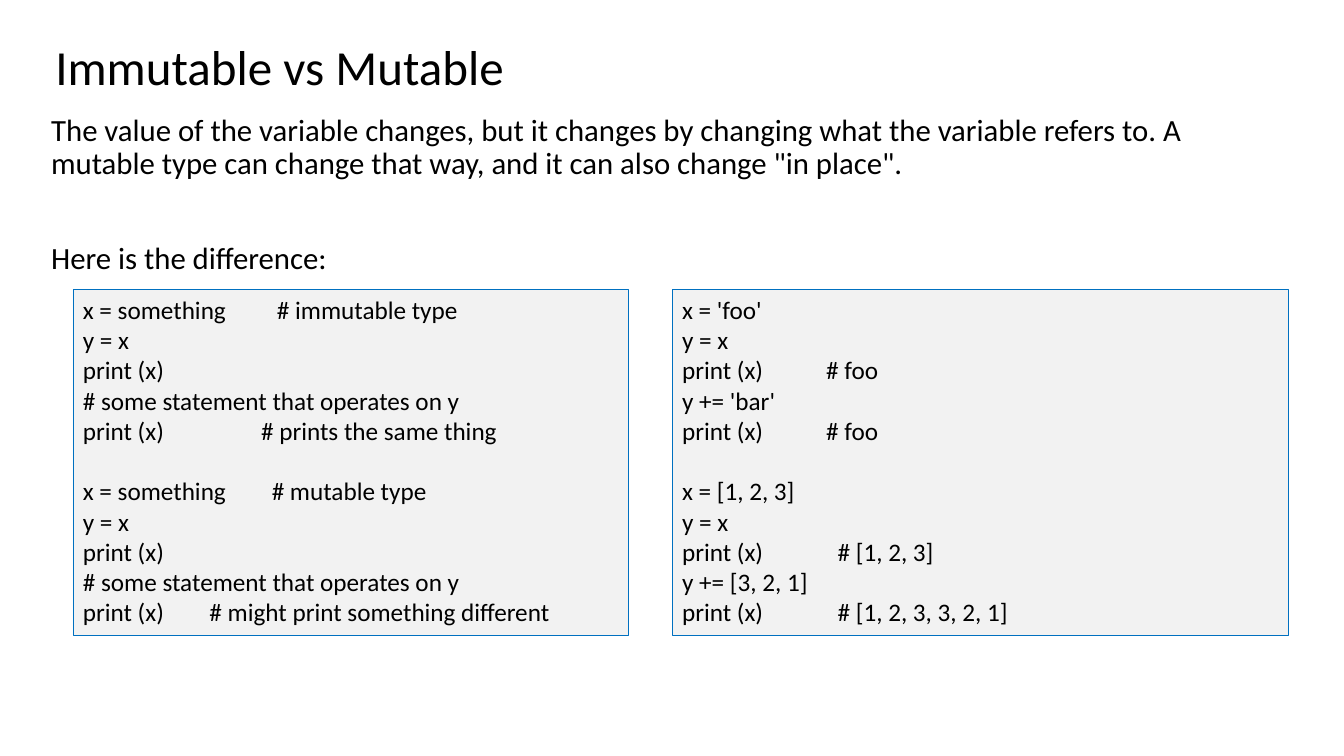
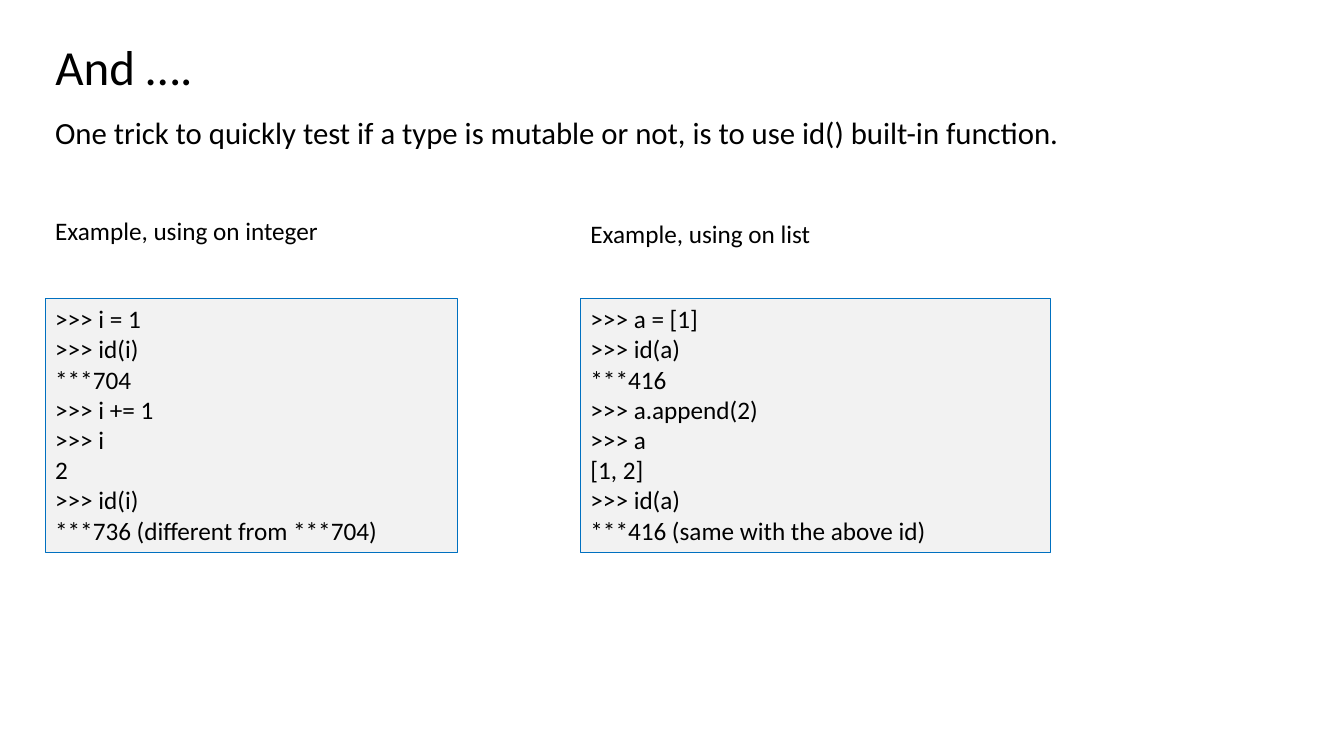
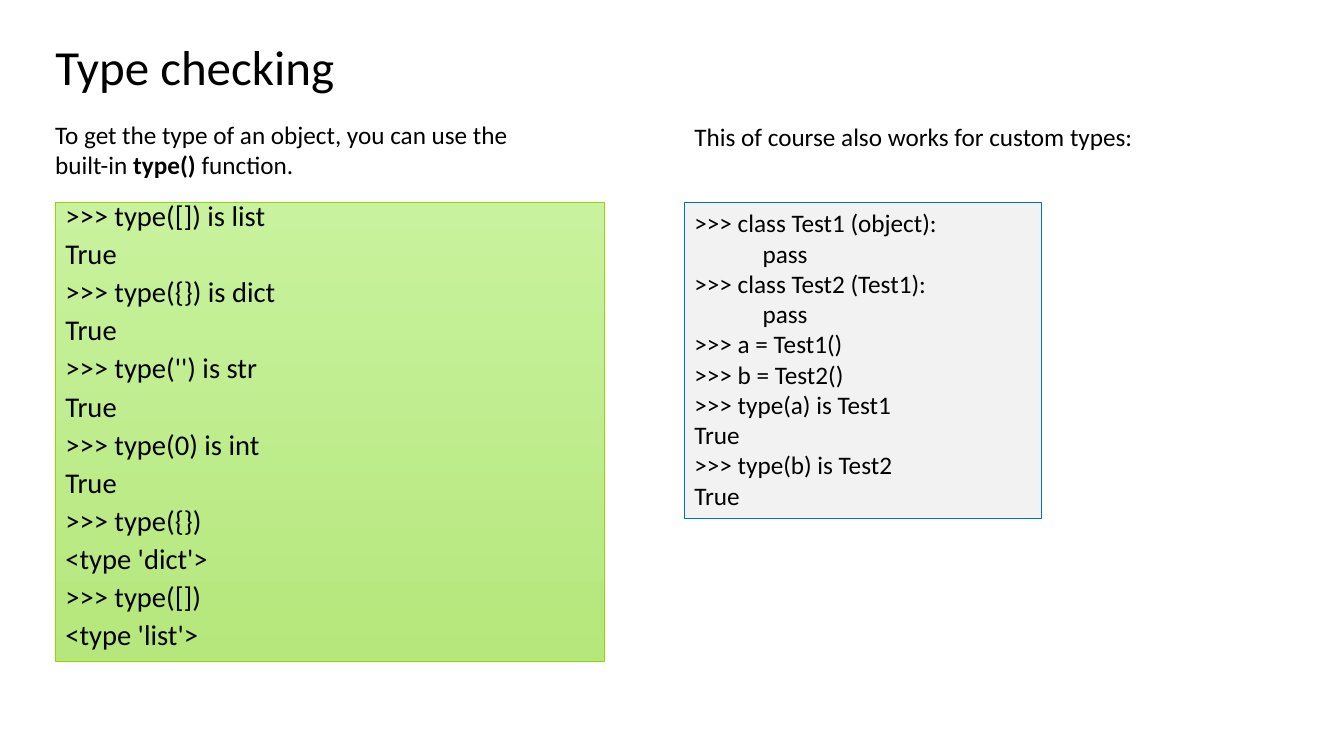
from dataclasses import dataclass

from lxml import etree
from pptx import Presentation
from pptx.dml.color import RGBColor
from pptx.enum.shapes import MSO_SHAPE
from pptx.enum.text import MSO_ANCHOR, MSO_AUTO_SIZE, PP_ALIGN
from pptx.oxml.ns import qn
from pptx.util import Cm, Pt

RECT = MSO_SHAPE.RECTANGLE
TOP = MSO_ANCHOR.TOP
LEFT = PP_ALIGN.LEFT
FIXED, GROW = MSO_AUTO_SIZE.NONE, MSO_AUTO_SIZE.SHAPE_TO_FIT_TEXT
TITLE_ONLY = 5


@dataclass(frozen=True)
class Theme:
    font: str = "Calibri"
    ink: str = "000000"
    panel: str = "F2F2F2"
    panel_line: str = "0070C0"
    green: tuple = ("C8F29D", "B5E77C")
    green_line: str = "95D600"
    line_width: float = 0.5
    title: float = 35
    body: float = 22
    session: float = 20.4
    code: float = 18
    code_gap: float = 21.6  # one code line


def rgb(value):
    return RGBColor.from_string(value)


class Deck:
    def __init__(self, theme):
        self.theme = theme
        self.prs = Presentation()
        self.prs.slide_width, self.prs.slide_height = Cm(33.87), Cm(19.05)
        self.slide = None

    # Text
    def frame(self, sp, auto_size):
        tf = sp.text_frame
        tf.word_wrap = True
        tf.auto_size = auto_size
        tf.vertical_anchor = TOP
        return tf

    def paragraph(self, tf, runs, size, first, spacing=1.0, before=0):
        """Add one paragraph; runs is a string or (text, bold) pairs."""
        p = tf.paragraphs[0] if first else tf.add_paragraph()
        p.alignment = LEFT
        p.line_spacing = spacing
        p.space_before = Pt(0 if first else before)
        for text, bold in [(runs, False)] if isinstance(runs, str) else runs:
            r = p.add_run()
            r.text = text
            r.font.name = self.theme.font
            r.font.size = Pt(size)
            r.font.bold = bold
            r.font.color.rgb = rgb(self.theme.ink)
        return p

    def tab_stop(self, p, position):
        tabs = etree.SubElement(p._p.get_or_add_pPr(), qn("a:tabLst"))
        etree.SubElement(tabs, qn("a:tab"), pos=str(Cm(position)), algn="l")

    # Slide parts
    def new_slide(self, title, width=13.26, height=1.47):
        layout = self.prs.slide_layouts[TITLE_ONLY]
        self.slide = self.prs.slides.add_slide(layout)
        sp = self.slide.shapes.title
        sp.left, sp.top = Cm(1.14), Cm(0.97)
        sp.width, sp.height = Cm(width), Cm(height)
        tf = self.frame(sp, FIXED)
        self.paragraph(tf, title, self.theme.title, True, 0.9)

    def body(self, box, paragraphs, before=0):
        sp = self.slide.shapes.add_textbox(*map(Cm, box))
        tf = self.frame(sp, FIXED)
        for i, text in enumerate(paragraphs):
            self.paragraph(tf, text, self.theme.body, i == 0, 0.9, before)

    def label(self, box, runs):
        sp = self.slide.shapes.add_textbox(*map(Cm, box))
        self.paragraph(self.frame(sp, GROW), runs, self.theme.code, True)

    def panel(self, box, line):
        sp = self.slide.shapes.add_shape(RECT, *map(Cm, box))
        sp.shadow.inherit = False
        sp.line.color.rgb = rgb(line)
        sp.line.width = Pt(self.theme.line_width)
        return sp

    def code(self, box, *blocks):
        """Code panel; a line is text, or (text, comment, comment offset)."""
        t = self.theme
        sp = self.panel(box, t.panel_line)
        sp.fill.solid()
        sp.fill.fore_color.rgb = rgb(t.panel)
        tf = self.frame(sp, GROW)
        for b, block in enumerate(blocks):
            for i, line in enumerate(block):
                text, comment, offset = (line, "", 0) if isinstance(line, str) else line
                gap = t.code_gap if i == 0 else 0
                if comment:
                    text += "\t" + comment
                p = self.paragraph(tf, text, t.code, b == i == 0, before=gap)
                if comment:
                    self.tab_stop(p, offset)

    def session(self, box, lines):
        t = self.theme
        sp = self.panel(box, t.green_line)
        sp.fill.gradient()
        sp.fill.gradient_angle = 270
        for stop, color in zip(sp.fill.gradient_stops, t.green):
            stop.color.rgb = rgb(color)
        tf = self.frame(sp, FIXED)
        for i, line in enumerate(lines):
            self.paragraph(tf, line, t.session, i == 0, 0.7, 10)


def main():
    deck = Deck(Theme())

    # Immutable vs mutable
    deck.new_slide("Immutable vs Mutable", 15.77, 1.63)
    deck.body((1.04, 2.77, 31.78, 4.52), [
        "The value of the variable changes, but it changes by changing what the "
        "variable refers to. A mutable type can change that way, and it can also "
        "change \"in place\".",
        "Here is the difference:",
    ], before=44)
    operate = ["y = x", "print (x)", "# some statement that operates on y"]
    deck.code(
        (1.84, 7.29, 14, 8.71),
        [("x = something", "# immutable type", 4.89), *operate,
         ("print (x)", "# prints the same thing", 4.49)],
        [("x = something", "# mutable type", 4.76), *operate,
         ("print (x)", "# might print something different", 3.19)],
    )
    print_foo = ("print (x)", "# foo", 3.63)
    deck.code(
        (16.94, 7.29, 15.52, 8.71),
        ["x = 'foo'", "y = x", print_foo, "y += 'bar'", print_foo],
        ["x = [1, 2, 3]", "y = x", ("print (x)", "# [1, 2, 3]", 3.92),
         "y += [3, 2, 1]", ("print (x)", "# [1, 2, 3, 3, 2, 1]", 3.92)],
    )

    # Testing with id()
    deck.new_slide("And ….")
    deck.body((1.14, 2.84, 31.22, 1.27), [
        "One trick to quickly test if a type is mutable or not, is to use id() "
        "built-in function.",
    ])
    deck.label((1.14, 5.31, 7.9, 1.02), "Example, using on integer")
    deck.label((14.63, 5.38, 6.91, 1.02), "Example, using on list")
    deck.code((1.14, 7.52, 10.39, 6.4), [
        ">>> i = 1", ">>> id(i)", "***704", ">>> i += 1", ">>> i", "2",
        ">>> id(i)", "***736 (different from ***704)",
    ])
    deck.code((14.63, 7.52, 11.84, 6.4), [
        ">>> a = [1]", ">>> id(a)", "***416", ">>> a.append(2)", ">>> a",
        "[1, 2]", ">>> id(a)", "***416 (same with the above id)",
    ])

    # Type checking
    deck.new_slide("Type checking")
    deck.label((1.14, 2.87, 13.26, 1.8), [
        ("To get the type of an object, you can use the built-in ", False),
        ("type() ", True),
        ("function.", False),
    ])
    deck.label((17.25, 2.92, 12.8, 1.02),
               "This of course also works for custom types:")
    deck.session((1.4, 5.11, 13.84, 11.56), [
        ">>> type([]) is list", "True", ">>> type({}) is dict", "True",
        ">>> type('') is str", "True", ">>> type(0) is int", "True",
        ">>> type({})", "<type 'dict'>", ">>> type([])", "<type 'list'>",
    ])
    deck.code((17.25, 5.11, 8.99, 7.95), [
        ">>> class Test1 (object):", "            pass",
        ">>> class Test2 (Test1):", "            pass",
        ">>> a = Test1()", ">>> b = Test2()",
        ">>> type(a) is Test1", "True", ">>> type(b) is Test2", "True",
    ])

    deck.prs.save("out.pptx")


if __name__ == "__main__":
    main()
